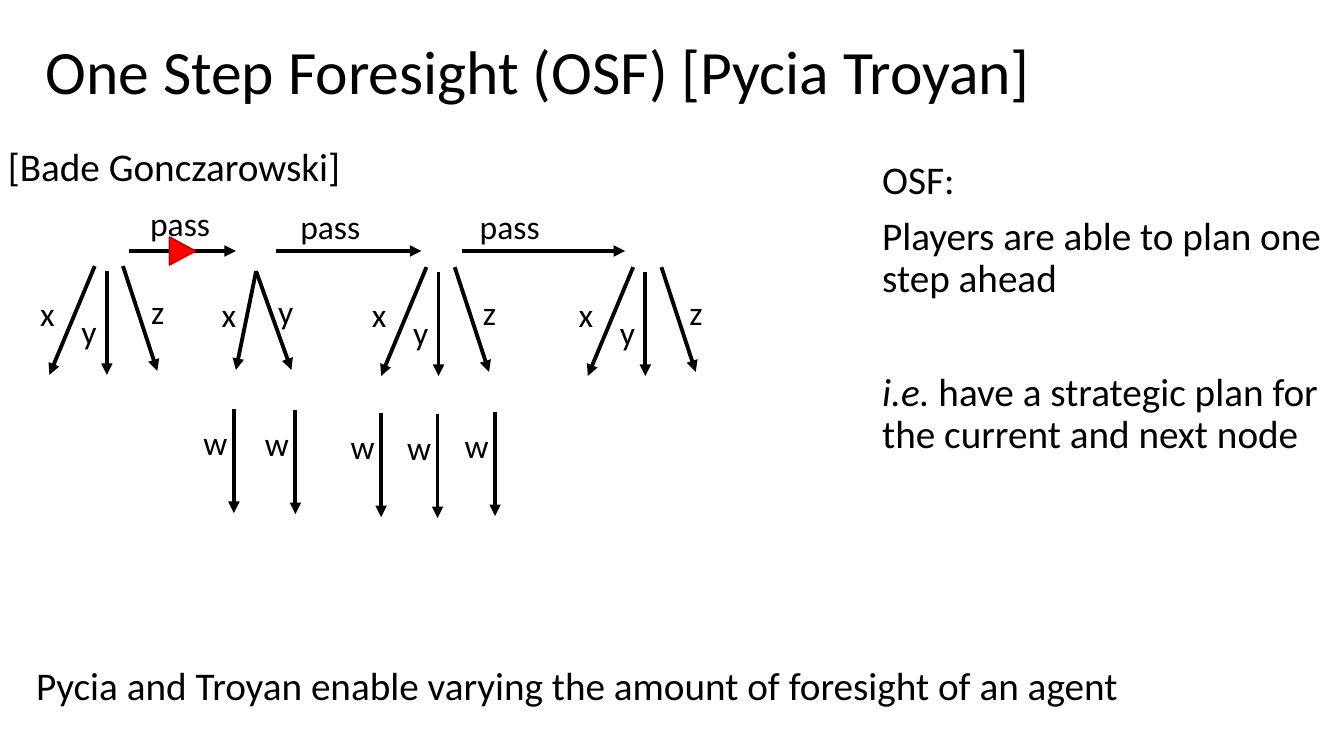
import pptx
import pptx.util
import pptx.dml.color
import pptx.enum.shapes
import pptx.enum.text
import pptx.oxml.ns
import lxml.etree

Inches, Pt = pptx.util.Inches, pptx.util.Pt
qn = pptx.oxml.ns.qn
rgb = pptx.dml.color.RGBColor.from_string
colors = {"ink": "000000", "mark": "FF0000", "edge": "C00000"}

deck = pptx.Presentation()
deck.slide_width, deck.slide_height = Inches(13.33), Inches(7.5)
slide = deck.slides.add_slide(deck.slide_layouts[1])


def write(shape, box, lines, size):
    """Place a shape, then fill it with left-aligned paragraphs."""
    shape.left, shape.top, shape.width, shape.height = map(Inches, box)
    frame = shape.text_frame
    frame.word_wrap = True
    frame.auto_size = pptx.enum.text.MSO_AUTO_SIZE.NONE
    frame.text = "\n".join(lines)
    for par in frame.paragraphs:
        props = par._p.get_or_add_pPr()
        props.set("marL", "0")
        props.set("indent", "0")
        lxml.etree.SubElement(props, qn("a:buNone"))
        par.alignment = pptx.enum.text.PP_ALIGN.LEFT
        par.line_spacing = 0.9 if size > 24 else 1.0
        par.space_before = Pt(0)
        for run in par.runs:
            run.font.name = "Calibri"
            run.font.size = Pt(size)
            run.font.color.rgb = rgb(colors["ink"])
    return frame


def arrow(x1, y1, x2, y2):
    line = slide.shapes.add_connector(
        pptx.enum.shapes.MSO_CONNECTOR.STRAIGHT,
        Inches(x1), Inches(y1), Inches(x2), Inches(y2))
    line.line.color.rgb = rgb(colors["ink"])
    line.line.width = Pt(2.75)
    tail = lxml.etree.SubElement(line.line._get_or_add_ln(), qn("a:tailEnd"))
    tail.set("type", "triangle")
    lxml.etree.SubElement(line._element.spPr, qn("a:effectLst"))


# Title and definition
title = write(slide.shapes.title, (0.35, 0.01, 11.5, 1.45),
              ["One Step Foresight (OSF) [Pycia Troyan]"], 44)
title.vertical_anchor = pptx.enum.text.MSO_ANCHOR.MIDDLE

body = write(slide.placeholders[1], (8.65, 1.54, 4.68, 5.05), [
    "OSF:",
    "Players are able to plan one step ahead",
    "i.e. have a strategic plan for the current and next node",
], 28)
body.vertical_anchor = pptx.enum.text.MSO_ANCHOR.TOP
body.paragraphs[1].space_before = Pt(10)
plan = body.paragraphs[2]
plan.space_before = Pt(51)
lead = plan.runs[0]
lead.text = "i.e."
lead.font.italic = True
rest = plan.add_run()
rest.text = " have a strategic plan for the current and next node"
rest.font.name, rest.font.size = "Calibri", Pt(28)
rest.font.color.rgb = rgb(colors["ink"])
rest.font.italic = False

# Moves along the top: start, end, label left, label top
labels = []
for x1, x2, left, top in [(1.28, 2.34, 1.39, 1.96), (2.74, 4.18, 2.88, 1.99),
                          (4.58, 6.2, 4.66, 1.99)]:
    arrow(x1, 2.49, x2, 2.49)
    labels.append(("pass", left, top, 0.87))

# Branches relative to a node: label, start, end, label corner, label width
three = [("x", -0.12, -0.05, -0.57, 1.03, -0.76, 0.17, 0.44),
         ("y", 0, 0, 0, 1.03, -0.35, 0.35, 0.4),
         ("z", 0.16, -0.05, 0.5, 0.99, 0.34, 0.15, 0.86)]
two = [("x", 0, 0, -0.2, 0.98, -0.44, 0.18, 0.44),
       ("y", 0, 0, 0.35, 0.98, 0.12, 0.15, 0.4)]
nodes = [(1.06, 2.69, three), (2.54, 2.69, two),
         (4.35, 2.7, three), (6.4, 2.7, three)]
for x, y, fan in nodes:
    for name, x1, y1, x2, y2, left, top, wide in fan:
        arrow(x + x1, y + y1, x + x2, y + y2)
        labels.append((name, x + left, y + top, wide))

# Second step
for x, y in [(2.32, 4.06), (2.93, 4.07), (3.78, 4.1), (4.34, 4.11), (4.91, 4.09)]:
    arrow(x, y, x, y + 1.03)
    labels.append(("w", x - 0.4, y + 0.08, 0.4))

for name, left, top, wide in labels:
    write(slide.shapes.add_textbox(0, 0, 0, 0), (left, top, wide, 0.5), [name], 24)

mark = slide.shapes.add_shape(
    pptx.enum.shapes.MSO_SHAPE.ISOSCELES_TRIANGLE,
    Inches(1.67), Inches(2.36), Inches(0.28), Inches(0.26))
mark.rotation = 90
mark.shadow.inherit = False
mark.fill.solid()
mark.fill.fore_color.rgb = rgb(colors["mark"])
mark.line.color.rgb = rgb(colors["edge"])
mark.line.width = Pt(1)

# Credit and closing remark
for box, words in [
    ((-0.02, 1.42, 4.24, 0.66), "[Bade Gonczarowski]"),
    ((0.26, 6.56, 11.94, 0.7),
     "Pycia and Troyan enable varying the amount of foresight of an agent"),
]:
    write(slide.shapes.add_textbox(0, 0, 0, 0), box, [words], 28)

deck.save("out.pptx")
